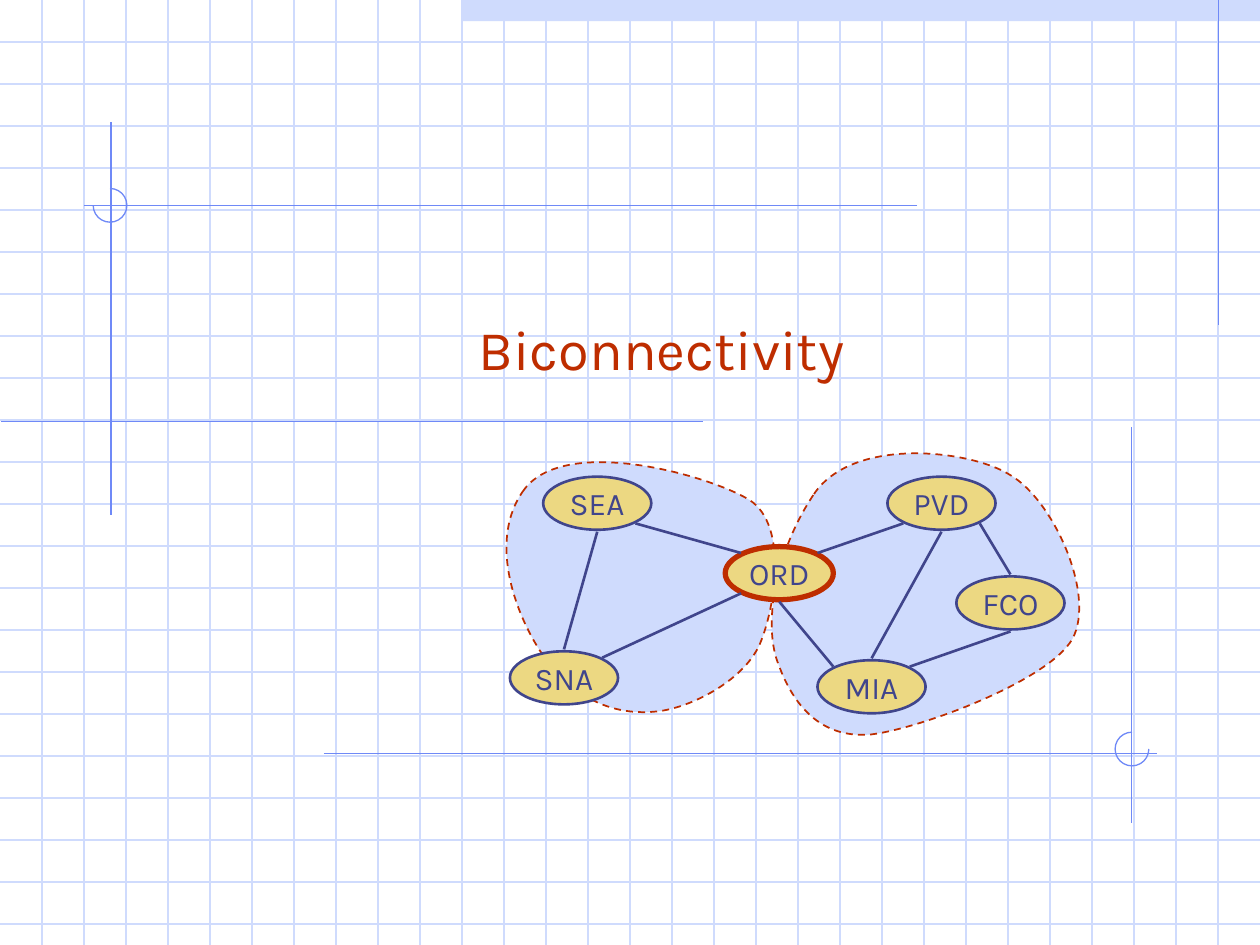
from dataclasses import dataclass
from math import cos, radians, sin

from lxml.etree import SubElement
from pptx import Presentation
from pptx.dml.color import RGBColor
from pptx.enum.dml import MSO_LINE
from pptx.enum.shapes import MSO_CONNECTOR, MSO_SHAPE
from pptx.enum.text import MSO_ANCHOR, PP_ALIGN
from pptx.oxml.ns import qn
from pptx.util import Cm, Pt

WIDTH, HEIGHT = 25.4, 19.05
PITCH = 2.54 / 3
COLUMNS, ROWS = 29, 22
NODE_W, NODE_H = 2.18, 1.07
EDGE_GAP = 0.04
FONT = "Karla"
PALE, ACCENT, NAVY, RED, GOLD = "CFDBFD", "6F89F7", "40458C", "BE2D00", "ECD882"

Point = tuple[float, float]


@dataclass
class Rule:
    start: Point
    end: Point


@dataclass
class Arc:
    left: float
    top: float
    start_angle: int
    end_angle: int


@dataclass
class Airport:
    code: str
    left: float
    top: float
    line: str = NAVY
    weight: float = 1.5

    def site(self, angle: float) -> Point:
        """Point just off the outline, with the angle clockwise from the right."""
        a = radians(angle)
        return (self.left + NODE_W / 2 * (1 + cos(a)),
                self.top + NODE_H / 2 + (NODE_H / 2 + EDGE_GAP) * sin(a))


@dataclass
class Edge:
    start: str
    start_site: int
    end: str
    end_site: int


RIGHT, BOTTOM_RIGHT, BOTTOM, BOTTOM_LEFT = 0, 45, 90, 135
LEFT, TOP_LEFT, TOP, TOP_RIGHT = 180, 225, 270, 315

RULES = [
    Rule((24.56, 0), (24.56, 6.55)),
    Rule((2.24, 2.46), (2.24, 10.39)),
    Rule((14.17, 8.49), (0.03, 8.49)),
    Rule((18.49, 4.14), (1.7, 4.14)),
    Rule((6.53, 15.19), (23.32, 15.19)),
    Rule((22.81, 8.61), (22.81, 16.59)),
]
ARCS = [Arc(1.88, 3.8, TOP, LEFT), Arc(22.48, 14.76, RIGHT, TOP)]

# Closed Bezier outlines: each knot is followed by its two control points.
COMPONENTS = [
    [(16.41, 9.96), (17.2, 8.79), (19.58, 9.07), (20.37, 9.58), (21.23, 10.08),
     (22.1, 11.99), (21.62, 12.88), (21.13, 13.74), (18.49, 14.71), (17.53, 14.81),
     (16.54, 14.88), (16, 14.22), (15.7, 13.41), (15.37, 12.62), (15.62, 11.13)],
    [(10.54, 9.91), (11.33, 8.74), (14.3, 9.58), (15.11, 10.08), (15.9, 10.59),
     (15.62, 12.27), (15.32, 12.98), (15.01, 13.69), (14.02, 14.22), (13.34, 14.33),
     (12.65, 14.43), (11.91, 14.27), (11.25, 13.59), (10.59, 12.9), (9.73, 11.07)],
]
AIRPORTS = [
    Airport("SEA", 10.95, 9.61),
    Airport("PVD", 17.89, 9.61),
    Airport("MIA", 16.48, 13.31),
    Airport("SNA", 10.28, 13.13),
    Airport("ORD", 14.62, 11.02, RED, 3),
    Airport("FCO", 19.28, 11.62),
]
EDGES = [
    Edge("SNA", TOP, "SEA", BOTTOM),
    Edge("SNA", TOP_RIGHT, "ORD", BOTTOM_LEFT),
    Edge("ORD", TOP_RIGHT, "PVD", BOTTOM_LEFT),
    Edge("ORD", BOTTOM, "MIA", TOP_LEFT),
    Edge("ORD", TOP_LEFT, "SEA", BOTTOM_RIGHT),
    Edge("MIA", TOP, "PVD", BOTTOM),
    Edge("MIA", TOP_RIGHT, "FCO", BOTTOM),
    Edge("FCO", TOP, "PVD", BOTTOM_RIGHT),
]


def rgb(color: str) -> RGBColor:
    return RGBColor.from_string(color)


def style(sp, fill: str | None, line: str | None, weight: float = 0.75) -> None:
    sp.shadow.inherit = False
    if fill:
        sp.fill.solid()
        sp.fill.fore_color.rgb = rgb(fill)
    else:
        sp.fill.background()
    if line:
        sp.line.color.rgb = rgb(line)
        sp.line.width = Pt(weight)
    else:
        sp.line.fill.background()


def add_text(tf, text: str, size: float, color: str) -> None:
    p = tf.paragraphs[0]
    p.alignment = PP_ALIGN.CENTER
    r = p.add_run()
    r.text = text
    r.font.name = FONT
    r.font.size = Pt(size)
    r.font.color.rgb = rgb(color)


def add_line(shapes, start: Point, end: Point, color: str, weight: float = 0.75) -> None:
    ends = [Cm(v) for v in (*start, *end)]
    line = shapes.add_connector(MSO_CONNECTOR.STRAIGHT, *ends)
    line.line.color.rgb = rgb(color)
    line.line.width = Pt(weight)
    SubElement(line.element.spPr, qn("a:effectLst"))


def add_arc(shapes, arc: Arc) -> None:
    sp = shapes.add_shape(MSO_SHAPE.ARC, Cm(arc.left), Cm(arc.top), Cm(0.68), Cm(0.68))
    # Angles are stored in 60000ths of a degree, adjustments in 100000ths.
    sp.adjustments[0] = arc.start_angle * 0.6
    sp.adjustments[1] = arc.end_angle * 0.6
    style(sp, None, ACCENT)


def add_backdrop(shapes, layout) -> None:
    """Draw the graph paper and hand it over to the layout."""
    band = shapes.add_shape(MSO_SHAPE.RECTANGLE, Cm(9.32), 0, Cm(16.08), Cm(0.43))
    style(band, PALE, None)
    for i in range(1, ROWS + 1):
        add_line(shapes, (0, i * PITCH), (WIDTH, i * PITCH), PALE)
    for i in range(1, COLUMNS + 1):
        add_line(shapes, (i * PITCH, 0), (i * PITCH, HEIGHT), PALE)
    for rule in RULES:
        add_line(shapes, rule.start, rule.end, ACCENT)
    for arc in ARCS:
        add_arc(shapes, arc)
    for sp in list(shapes):
        if not sp.is_placeholder:
            layout.shapes.element.append(sp.element)


def add_component(shapes, outline: list[Point]) -> None:
    vertices = [(Cm(x), Cm(y)) for x, y in outline]
    builder = shapes.build_freeform(*vertices[0])
    builder.add_line_segments(vertices[1:] + vertices[:1], close=True)
    sp = builder.convert_to_shape()
    # Every three straight segments become one cubic curve.
    segments = list(sp.element.iter(qn("a:lnTo")))
    for i in range(0, len(segments), 3):
        curve = SubElement(segments[i].getparent(), qn("a:cubicBezTo"))
        segments[i].addprevious(curve)
        for segment in segments[i:i + 3]:
            curve.append(segment[0])
            segment.getparent().remove(segment)
    style(sp, PALE, RED, 1)
    sp.line.dash_style = MSO_LINE.DASH


def add_airport(shapes, airport: Airport) -> None:
    sp = shapes.add_shape(MSO_SHAPE.OVAL, Cm(airport.left), Cm(airport.top),
                          Cm(NODE_W), Cm(NODE_H))
    style(sp, GOLD, airport.line, airport.weight)
    tf = sp.text_frame
    tf.word_wrap = False
    tf.vertical_anchor = MSO_ANCHOR.MIDDLE
    add_text(tf, airport.code, 18, NAVY)


def main() -> None:
    prs = Presentation()
    prs.slide_width, prs.slide_height = Cm(WIDTH), Cm(HEIGHT)
    layout = prs.slide_layouts[5]
    shapes = prs.slides.add_slide(layout).shapes
    add_backdrop(shapes, layout)

    title = shapes.title
    title.left, title.top, title.width, title.height = map(Cm, (2.54, 4.65, 21.59, 3.18))
    title.text_frame.vertical_anchor = MSO_ANCHOR.BOTTOM
    add_text(title.text_frame, "Biconnectivity", 32, RED)

    for outline in COMPONENTS:
        add_component(shapes, outline)
    for airport in AIRPORTS:
        add_airport(shapes, airport)
    by_code = {airport.code: airport for airport in AIRPORTS}
    for edge in EDGES:
        add_line(shapes, by_code[edge.start].site(edge.start_site),
                 by_code[edge.end].site(edge.end_site), NAVY, 1.5)
    prs.save("out.pptx")


if __name__ == "__main__":
    main()
